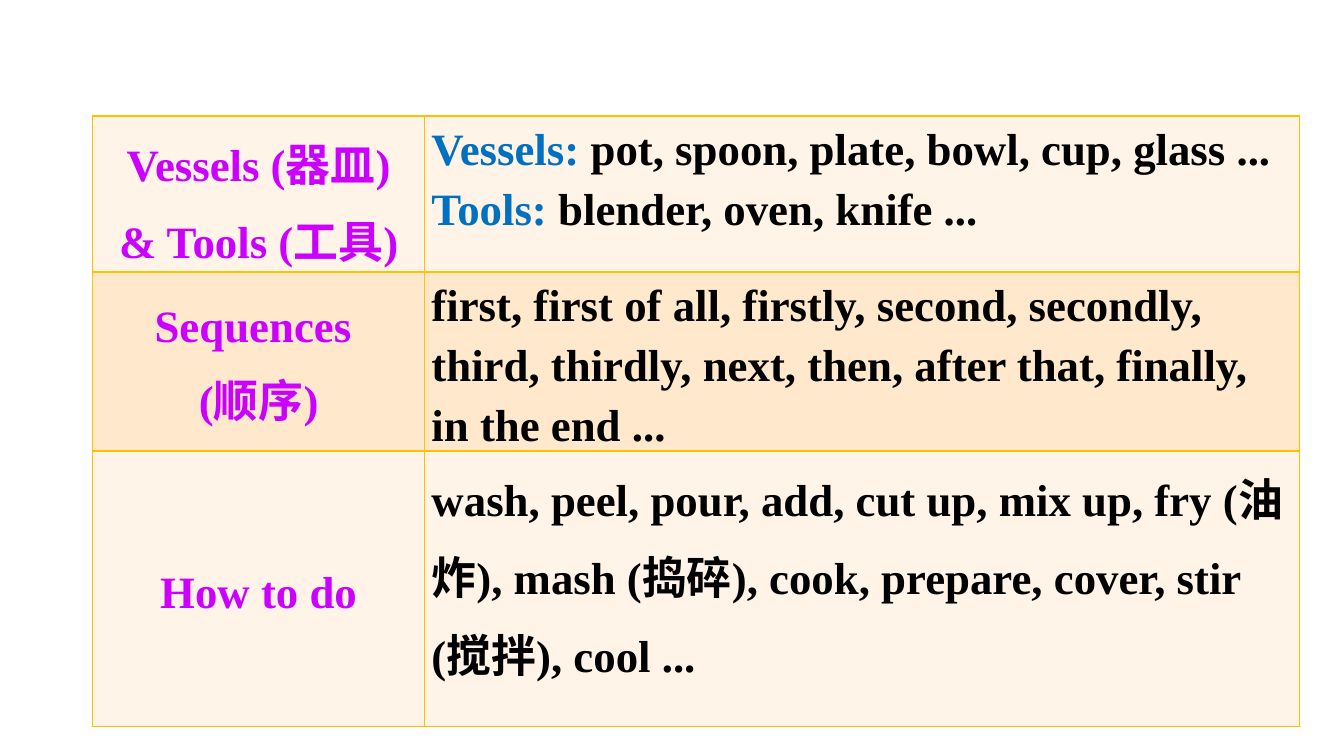
from dataclasses import dataclass

from lxml import etree
from pptx import Presentation
from pptx.dml.color import RGBColor
from pptx.enum.text import MSO_ANCHOR, PP_ALIGN
from pptx.oxml.ns import qn
from pptx.util import Inches, Pt

MIDDLE, TOP = MSO_ANCHOR.MIDDLE, MSO_ANCHOR.TOP
CENTER, LEFT = PP_ALIGN.CENTER, PP_ALIGN.LEFT


@dataclass(frozen=True)
class Theme:
    font: str = "Times New Roman"
    size: int = 32
    line_spacing: float = 1.2
    heading: str = "CC00FF"
    label: str = "0070C0"
    body: str = "000000"
    border: str = "FFC000"
    border_width: int = 1
    bands: tuple = ("FFF4E7", "FFE8CC")


THEME = Theme()
COLUMN_WIDTHS = (3.29, 8.68)
MIN_ROW_HEIGHT = 0.41  # rows grow to fit their text

# Each row: heading lines, then body lines as (label, words)
VOCABULARY = [
    (["Vessels (器皿)", "& Tools (工具)"],
     [("Vessels: ", "pot, spoon, plate, bowl, cup, glass ..."),
      ("Tools: ", "blender, oven, knife ...")]),
    (["Sequences ", "(顺序)"],
     [("", "first, first of all, firstly, second, secondly, third, thirdly, "
           "next, then, after that, finally, in the end ...")]),
    (["How to do"],
     [("", "wash, peel, pour, add, cut up, mix up, fry (油炸), mash (捣碎), "
           "cook, prepare, cover, stir"),
      ("", "(搅拌), cool ...")]),
]


def add_borders(cell):
    properties = cell._tc.get_or_add_tcPr()
    for side in ("a:lnL", "a:lnR", "a:lnT", "a:lnB"):
        line = etree.SubElement(properties, qn(side), w=str(Pt(THEME.border_width)))
        fill = etree.SubElement(line, qn("a:solidFill"))
        etree.SubElement(fill, qn("a:srgbClr"), val=THEME.border)


def fill_cell(cell, lines, band, align, anchor):
    """Style a cell and write its lines, each a list of (text, colour) runs."""
    add_borders(cell)
    cell.fill.solid()
    cell.fill.fore_color.rgb = RGBColor.from_string(band)
    cell.vertical_anchor = anchor
    cell.margin_left = cell.margin_right = Inches(0.07)
    cell.margin_top = cell.margin_bottom = 0
    frame = cell.text_frame
    for index, line in enumerate(lines):
        para = frame.add_paragraph() if index else frame.paragraphs[0]
        para.alignment = align
        para.line_spacing = THEME.line_spacing
        for text, color in line:
            span = para.add_run()
            span.text = text
            span.font.name = THEME.font
            span.font.size = Pt(THEME.size)
            span.font.bold = True
            span.font.color.rgb = RGBColor.from_string(color)


def add_vocabulary_table(page, left, top, width, height):
    box = page.shapes.add_table(len(VOCABULARY), len(COLUMN_WIDTHS), Inches(left),
                                Inches(top), Inches(width), Inches(height))
    table = box.table
    table.first_row = table.horz_banding = False
    for column, share in zip(table.columns, COLUMN_WIDTHS):
        column.width = Inches(width * share / sum(COLUMN_WIDTHS))
    for index, (headings, body) in enumerate(VOCABULARY):
        table.rows[index].height = Inches(MIN_ROW_HEIGHT)
        band = THEME.bands[index % len(THEME.bands)]
        heading_lines = [[(text, THEME.heading)] for text in headings]
        body_lines = [
            ([(label, THEME.label)] if label else []) + [(words, THEME.body)]
            for label, words in body
        ]
        fill_cell(table.cell(index, 0), heading_lines, band, CENTER, MIDDLE)
        fill_cell(table.cell(index, 1), body_lines, band, LEFT, TOP)
    box.height = Inches(height)


def main():
    deck = Presentation()
    deck.slide_width, deck.slide_height = Inches(13.33), Inches(7.5)
    page = deck.slides.add_slide(deck.slide_layouts[6])
    add_vocabulary_table(page, 0.92, 1.15, 11.97, 5.12)
    deck.save("out.pptx")


if __name__ == "__main__":
    main()
